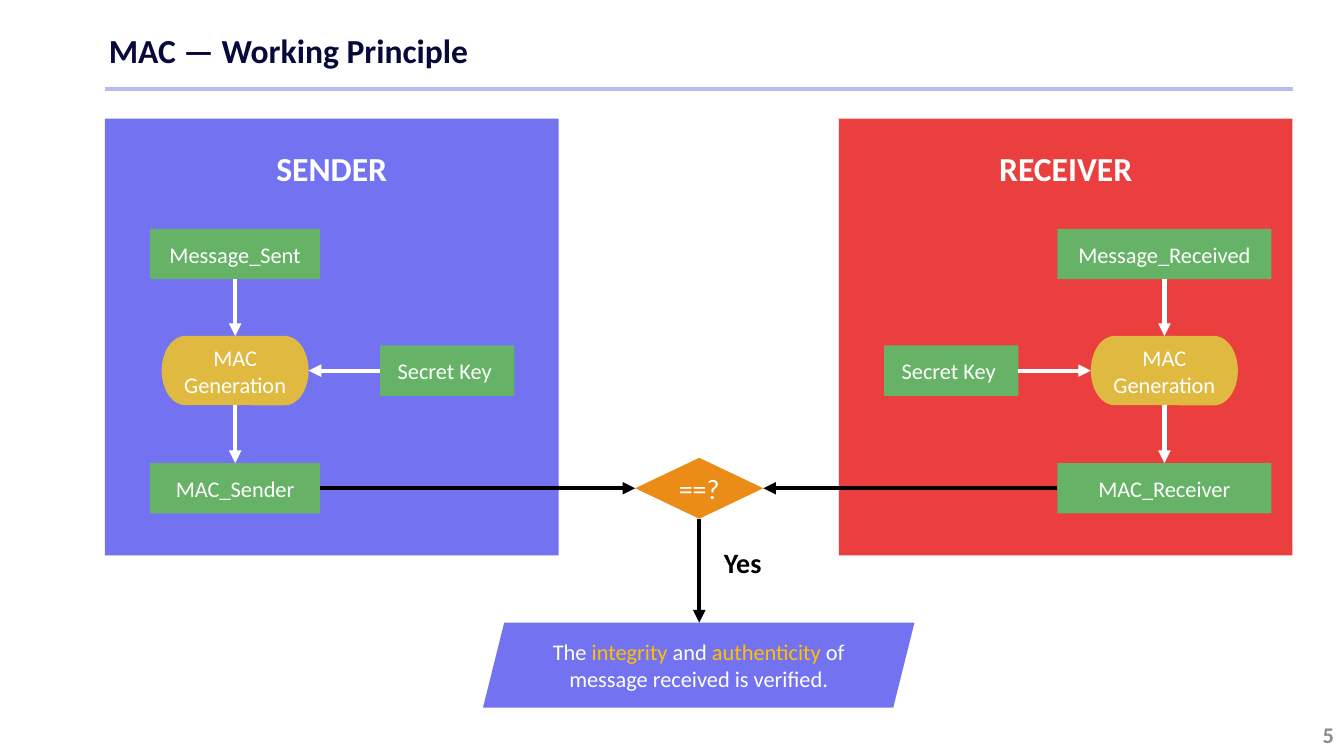
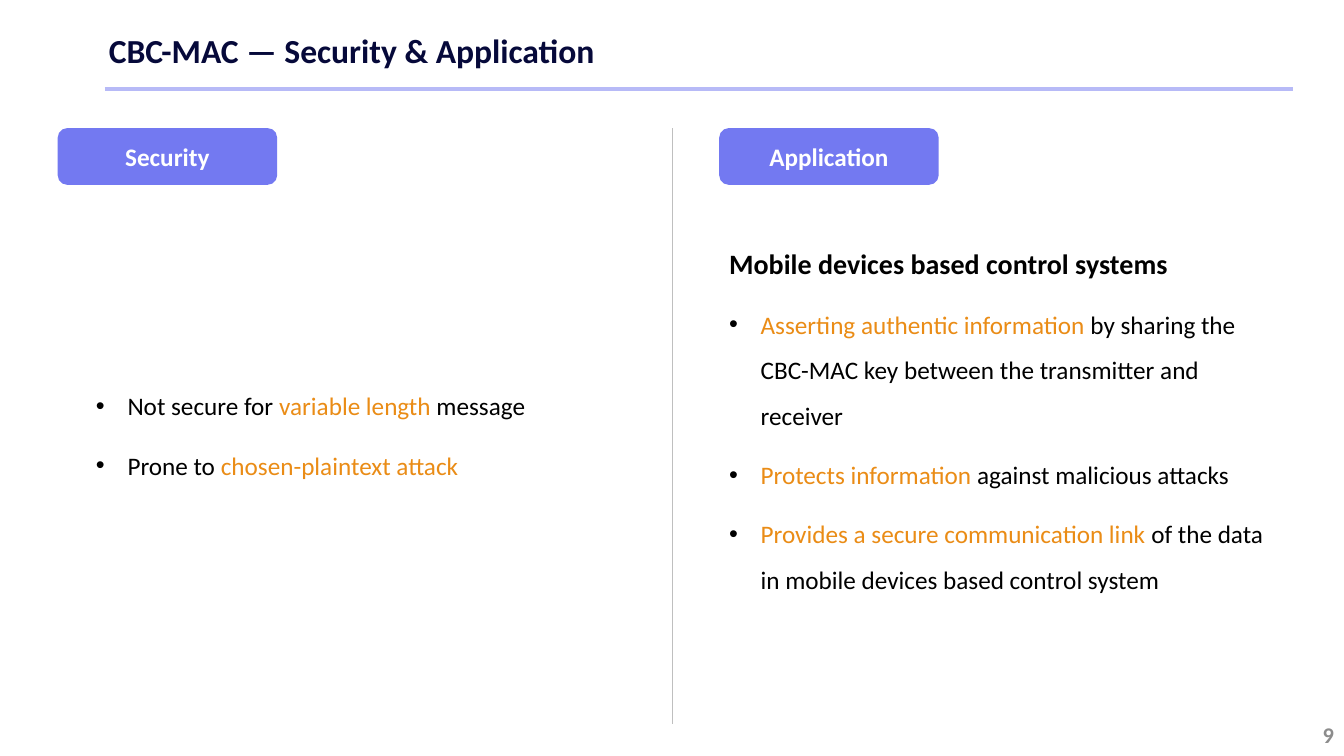
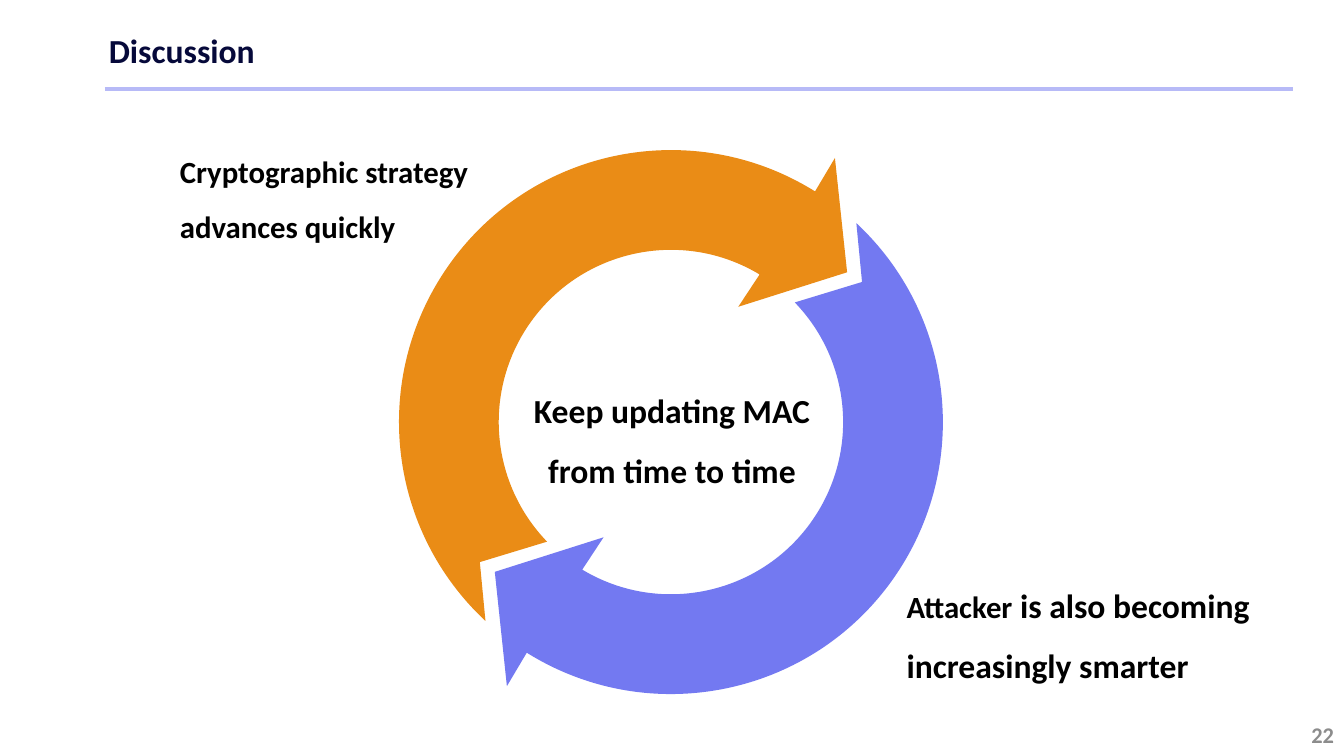
import math
from dataclasses import dataclass

from lxml import etree
from pptx import Presentation
from pptx import util as u
from pptx.dml.color import RGBColor
from pptx.enum import shapes, text
from pptx.oxml.ns import qn

SCALE = 9525
TOP, LEFT, BOTTOM, RIGHT = range(4)
SHAPE = shapes.MSO_SHAPE
ALIGN = text.PP_ALIGN
ANCHOR = text.MSO_ANCHOR


@dataclass(frozen=True)
class Theme:
    font: str = "Calibri"
    navy: str = "06093A"
    rule: str = "B7BAF7"
    gray: str = "8C8C8C"
    divider: str = "BFBFBF"
    black: str = "000000"
    white: str = "FFFFFF"
    violet: str = "7373F2"
    indigo: str = "7379F1"
    red: str = "EB3F3F"
    green: str = "66B266"
    gold: str = "DFB940"
    amber: str = "FFC000"
    orange: str = "EA8C16"
    title_size: int = 24
    large_size: int = 22
    lead_size: int = 20
    body_size: int = 18
    label_size: int = 16


THEME = Theme()


def px(length):
    return u.Emu(round(length * SCALE))


def rgb(color):
    return RGBColor.from_string(color)


def write(frame, content, size=THEME.label_size, color=THEME.black, bold=False,
          align=ALIGN.LEFT, anchor=ANCHOR.TOP, spacing=None, after=None,
          bullet=False, mark_color=None, mark_size=None):
    frame.word_wrap = True
    frame.auto_size = text.MSO_AUTO_SIZE.NONE
    frame.vertical_anchor = anchor
    para = frame.add_paragraph() if frame.text else frame.paragraphs[0]
    para.alignment = align
    if spacing:
        para.line_spacing = spacing
    if after:
        para.space_after = u.Pt(after)
    if bullet:
        add_bullet(para, color)
    for index, part in enumerate(content.split("*")):
        if not part:
            continue
        marked = index % 2
        span = para.add_run()
        span.text = part
        span.font.name = THEME.font
        span.font.bold = bold
        span.font.size = u.Pt(mark_size if marked and mark_size else size)
        span.font.color.rgb = rgb(mark_color if marked and mark_color else color)


def add_bullet(para, color):
    props = para._p.get_or_add_pPr()
    props.set("marL", str(px(30)))
    props.set("indent", str(-px(30)))
    tint = etree.SubElement(props, qn("a:buClr"))
    etree.SubElement(tint, qn("a:srgbClr"), val=color)
    etree.SubElement(props, qn("a:buFont"), typeface="Arial")
    etree.SubElement(props, qn("a:buChar"), char="•")


class Deck:
    def __init__(self, width, height):
        self.deck = Presentation()
        self.deck.slide_width = px(width)
        self.deck.slide_height = px(height)
        self.page = None

    def start(self, title, number):
        self.page = self.deck.slides.add_slide(self.deck.slide_layouts[5])
        box = self.page.shapes.title
        box.left, box.top, box.width, box.height = map(px, (94, 24, 1105, 48))
        write(box.text_frame, title, size=THEME.title_size, color=THEME.navy, bold=True)
        self.line(100, 85, 1231, 85, THEME.rule)
        self.label(992, 681, 288, 38, str(number), color=THEME.gray, bold=True,
                   align=ALIGN.RIGHT, anchor=ANCHOR.MIDDLE)

    def paint(self, box, fill):
        box.shadow.inherit = False
        box.fill.solid()
        box.fill.fore_color.rgb = rgb(fill)
        box.line.fill.background()
        return box

    def shape(self, kind, left, top, width, height, fill, content="", **style):
        box = self.page.shapes.add_shape(kind, *map(px, (left, top, width, height)))
        self.paint(box, fill)
        if content:
            write(box.text_frame, content, color=THEME.white, align=ALIGN.CENTER,
                  anchor=ANCHOR.MIDDLE, **style)
        return box

    def label(self, left, top, width, height, content, **style):
        box = self.page.shapes.add_textbox(*map(px, (left, top, width, height)))
        write(box.text_frame, content, **style)
        return box

    def line(self, x1, y1, x2, y2, color, weight=3, arrow=False):
        line = self.page.shapes.add_connector(
            shapes.MSO_CONNECTOR.STRAIGHT, *map(px, (x1, y1, x2, y2)))
        line.line.color.rgb = rgb(color)
        line.line.width = u.Pt(weight)
        props = line.element.spPr
        if arrow:
            etree.SubElement(props.find(qn("a:ln")), qn("a:tailEnd"), type="triangle")
        etree.SubElement(props, qn("a:effectLst"))
        return line

    def link(self, source, source_side, target, target_side, color):
        line = self.line(0, 0, 0, 0, color, arrow=True)
        line.begin_connect(source, source_side)
        line.end_connect(target, target_side)

    def outline(self, start, segments, fill):
        builder = self.page.shapes.build_freeform(*map(px, start))
        builder.add_line_segments([tuple(map(px, segment[-1])) for segment in segments],
                                  close=True)
        box = self.paint(builder.convert_to_shape(), fill)
        edges = list(box.element.iter(qn("a:lnTo")))
        for edge, segment in zip(edges, segments):
            if len(segment) == 3:
                curve = etree.Element(qn("a:cubicBezTo"))
                for x, y in segment:
                    etree.SubElement(curve, qn("a:pt"), x=str(px(x) - box.left),
                                     y=str(px(y) - box.top))
                edge.getparent().replace(edge, curve)
        return box


def draw_party(deck, heading, panel_left, fill, middle, box_width, key_left, names):
    deck.shape(SHAPE.RECTANGLE, panel_left, 113, 432, 416, fill)
    deck.label(panel_left, 136, 432, 48, heading, size=THEME.title_size,
               color=THEME.white, bold=True, align=ALIGN.CENTER)
    message, mac = [
        deck.shape(SHAPE.RECTANGLE, middle - box_width // 2, top, box_width, 48,
                   THEME.green, name)
        for top, name in zip((218, 441), names)]
    generator = deck.shape(SHAPE.FLOWCHART_TERMINATOR, middle - 70, 320, 140, 66,
                           THEME.gold, "MAC Generation")
    key = deck.shape(SHAPE.RECTANGLE, key_left, 329, 128, 48, THEME.green, "Secret Key ")
    deck.link(message, BOTTOM, generator, TOP, THEME.white)
    deck.link(generator, BOTTOM, mac, TOP, THEME.white)
    key_side, generator_side = (LEFT, RIGHT) if key_left > middle else (RIGHT, LEFT)
    deck.link(key, key_side, generator, generator_side, THEME.white)
    return mac


def working_principle(deck):
    deck.start("MAC — Working Principle", 5)
    sender = draw_party(deck, "SENDER", 100, THEME.violet, 224, 162, 362,
                        ("Message_Sent", "MAC_Sender"))
    receiver = draw_party(deck, "RECEIVER", 799, THEME.red, 1109, 204, 842,
                          ("Message_Received", "MAC_Receiver"))
    check = deck.shape(SHAPE.DIAMOND, 605, 436, 122, 58, THEME.orange, "==?",
                       size=THEME.lead_size)
    deck.link(sender, RIGHT, check, LEFT, THEME.black)
    deck.link(receiver, LEFT, check, RIGHT, THEME.black)
    deck.shape(SHAPE.PARALLELOGRAM, 460, 593, 411, 81, THEME.violet,
               "The *integrity* and *authenticity* of message received is verified.",
               mark_color=THEME.amber)
    verdict = deck.line(666, 494, 666, 593, THEME.black, arrow=True)
    verdict.begin_connect(check, BOTTOM)
    deck.label(680, 515, 67, 42, "Yes", size=THEME.lead_size, bold=True)


def security_application(deck):
    deck.start("CBC-MAC — Security & Application", 9)
    deck.line(640, 122, 640, 690, THEME.divider, weight=0.5)
    for left, heading in ((55, "Security"), (685, "Application")):
        deck.shape(SHAPE.ROUNDED_RECTANGLE, left, 122, 209, 54, THEME.indigo, heading,
                   size=THEME.body_size, bold=True)
    loose = dict(spacing=1.5, after=10)
    item = dict(loose, size=THEME.body_size, bullet=True, mark_color=THEME.orange)
    uses = deck.label(685, 214, 547, 398, "Mobile devices based control systems",
                      size=THEME.lead_size, bold=True, **loose)
    for use in (
            "*Asserting authentic information *by sharing the CBC-MAC key between "
            "the transmitter and receiver",
            "*Protects information *against malicious attacks",
            "*Provides a secure communication link *of the data in mobile devices "
            "based control system"):
        write(uses.text_frame, use, **item)
    risks = deck.label(82, 353, 641, 106, "Not secure for *variable length *message", **item)
    write(risks.text_frame, "Prone to *chosen-plaintext attack*", **item)


def on_circle(radius, degrees):
    angle = math.radians(degrees)
    return radius * math.cos(angle), radius * math.sin(angle)


def arc(radius, start, end):
    reach = 4 / 3 * math.tan(math.radians(end - start) / 4)
    (x1, y1), (x2, y2) = on_circle(radius, start), on_circle(radius, end)
    return (x1 - reach * y1, y1 + reach * x1), (x2 + reach * y2, y2 - reach * x2), (x2, y2)


def draw_cycle_arrow(deck, turn, fill):
    tip, outer_barb, inner_barb, notch = (63, -211), (-6, -296), (-6, -127), (-80, 211)
    segments = [
        [outer_barb],
        [on_circle(259, -91)], arc(259, -91, -180), arc(259, -180, -260),
        [notch],
        [on_circle(164, -257)], arc(164, -257, -180), arc(164, -180, -92),
        [inner_barb]]
    turned = [[(turn * x, turn * y) for x, y in segment] for segment in segments]
    box = deck.outline((turn * tip[0], turn * tip[1]), turned, fill)
    x, y = box.left + box.width / 2, box.top + box.height / 2
    box.rotation = 33
    tilt = math.radians(box.rotation)
    middle_x = px(639) + x * math.cos(tilt) - y * math.sin(tilt)
    middle_y = px(402) + x * math.sin(tilt) + y * math.cos(tilt)
    box.left = round(middle_x - box.width / 2)
    box.top = round(middle_y - box.height / 2)


def discussion(deck):
    deck.start("Discussion", 22)
    draw_cycle_arrow(deck, 1, THEME.orange)
    draw_cycle_arrow(deck, -1, THEME.indigo)
    strong = dict(bold=True, spacing=1.5)
    deck.label(162, 123, 385, 109, "Cryptographic strategy advances quickly",
               size=THEME.large_size, **strong)
    deck.label(854, 533, 406, 118, "*Attacker* is also becoming increasingly smarter",
               size=THEME.title_size, mark_size=THEME.large_size, **strong)
    deck.label(487, 347, 306, 118, "Keep updating MAC from time to time",
               size=THEME.title_size, align=ALIGN.CENTER, **strong)


def main():
    deck = Deck(1280, 720)
    working_principle(deck)
    security_application(deck)
    discussion(deck)
    deck.deck.save("out.pptx")


if __name__ == "__main__":
    main()
